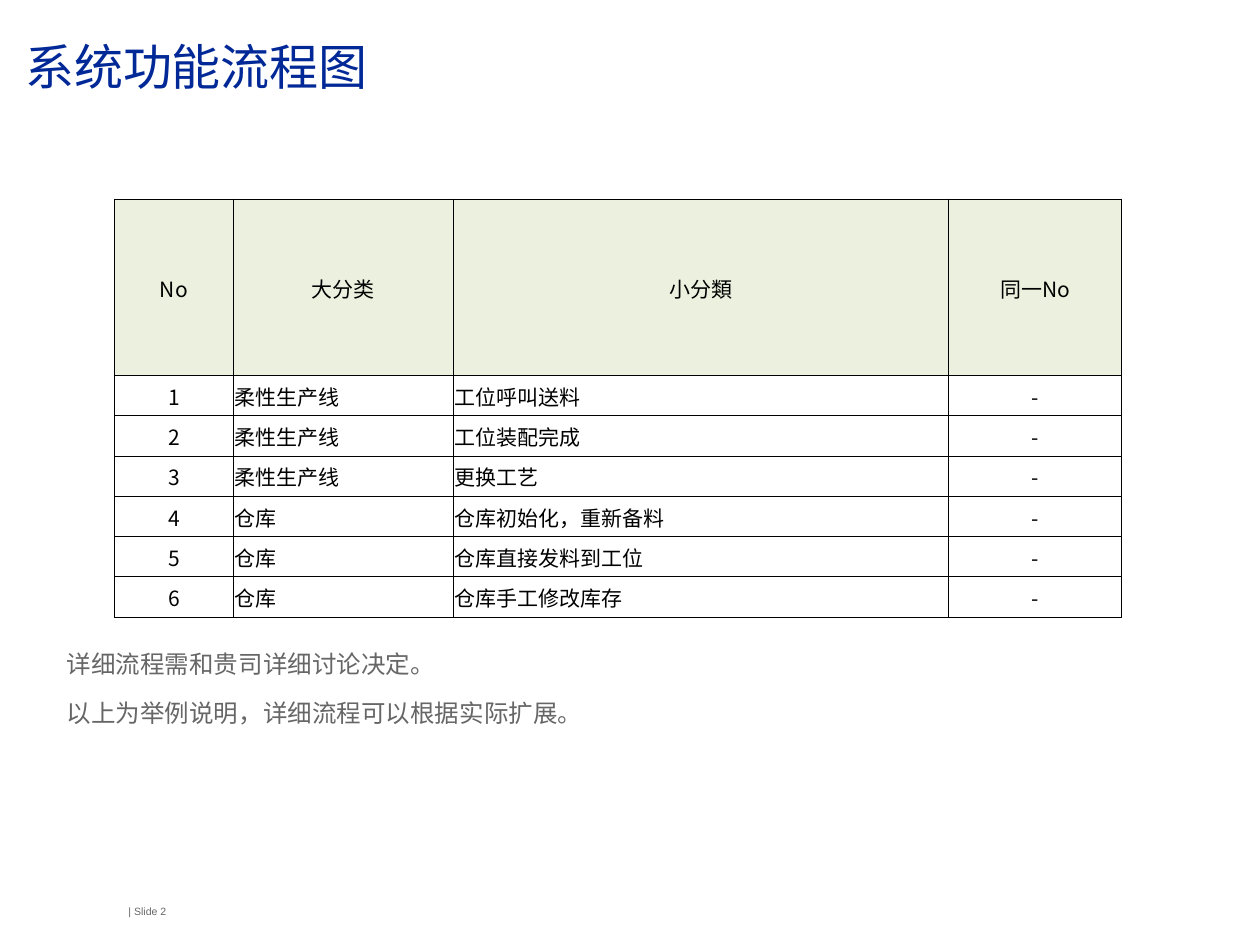
from dataclasses import dataclass
from typing import Optional

from lxml.etree import SubElement as Sub
from pptx import Presentation
from pptx.dml.color import RGBColor as RGB
from pptx.enum.text import MSO_ANCHOR as Anchor, MSO_AUTO_SIZE as Fit, PP_ALIGN as Align
from pptx.oxml.ns import qn
from pptx.util import Inches, Pt


@dataclass(frozen=True)
class Theme:
    blue: str = "002897"
    gray: str = "666666"
    black: str = "000000"
    head: str = "EBF1DE"
    sans: str = "Arial"
    cjk: str = "Noto Sans CJK SC"
    title: int = 28
    body: int = 14
    cell: int = 12
    foot: int = 6
    line: float = 0.5


@dataclass(frozen=True)
class Box:
    left: float
    top: float
    width: float
    height: float


@dataclass(frozen=True)
class Col:
    name: str
    width: float
    align: Align


@dataclass(frozen=True)
class Step:
    group: str
    task: str
    same: str = "-"


THEME = Theme()
COLS = [
    Col("No", 0.94, Align.CENTER),
    Col("大分类", 1.75, Align.LEFT),
    Col("小分類", 3.93, Align.LEFT),
    Col("同一No", 1.37, Align.CENTER),
]
LINE, STORE = "柔性生产线", "仓库"
STEPS = [
    Step(LINE, "工位呼叫送料"),
    Step(LINE, "工位装配完成"),
    Step(LINE, "更换工艺"),
    Step(STORE, "仓库初始化，重新备料"),
    Step(STORE, "仓库直接发料到工位"),
    Step(STORE, "仓库手工修改库存"),
]
NOTES = ["详细流程需和贵司详细讨论决定。", "以上为举例说明，详细流程可以根据实际扩展。"]
HEAD_H, ROW_H = 1.4, 0.32


def add_run(para, text: str, size: int, color: str, face: str) -> None:
    run = para.add_run()
    run.text = text
    font = run.font
    font.size = Pt(size)
    font.bold = False
    font.color.rgb = RGB.from_string(color)
    font.name = face
    if face == THEME.cjk:
        Sub(font._element, qn("a:ea"), typeface=face)


def place(shape, box: Box, pads: tuple, anchor: Anchor = Anchor.TOP):
    """Move a text shape, set its insets (left, top, right, bottom), return its frame."""
    shape.left, shape.top = Inches(box.left), Inches(box.top)
    shape.width, shape.height = Inches(box.width), Inches(box.height)
    frame = shape.text_frame
    frame.word_wrap = True
    frame.auto_size = Fit.NONE
    frame.vertical_anchor = anchor
    frame.margin_left, frame.margin_top, frame.margin_right, frame.margin_bottom = map(Inches, pads)
    return frame


def add_title(slide) -> None:
    frame = place(slide.shapes.title, Box(0, 0, 10, 0.76), (0.2, 0.34, 0.24, 0))
    para = frame.paragraphs[0]
    para.alignment = Align.LEFT
    para.line_spacing = 0.9
    add_run(para, "系统功能流程图", THEME.title, THEME.blue, THEME.cjk)


def add_notes(slide) -> None:
    frame = place(slide.placeholders[1], Box(0.37, 5.07, 9.26, 1.71), (0.16, 0.08, 0.08, 0.08))
    for i, note in enumerate(NOTES):
        para = frame.add_paragraph() if i else frame.paragraphs[0]
        props = para._p.get_or_add_pPr()
        props.set("marL", "0")
        props.set("indent", "0")
        Sub(props, qn("a:buNone"))
        para.space_before = Pt(11 if i else 0)
        add_run(para, note, THEME.body, THEME.gray, THEME.sans)


def add_foot(slide) -> None:
    box = slide.shapes.add_textbox(0, 0, 0, 0)
    frame = place(box, Box(1.02, 7.18, 0.53, 0.1), (0, 0, 0, 0), Anchor.MIDDLE)
    add_run(frame.paragraphs[0], "| Slide 2", THEME.foot, THEME.gray, THEME.sans)


def fill_cell(cell, text: str, align: Align, fill: Optional[str] = None) -> None:
    cell.margin_left = cell.margin_top = cell.margin_right = Inches(0.01)
    cell.margin_bottom = 0
    cell.vertical_anchor = Anchor.MIDDLE
    para = cell.text_frame.paragraphs[0]
    para.alignment = align
    add_run(para, text, THEME.cell, THEME.black, THEME.cjk)
    props = cell._tc.get_or_add_tcPr()
    for side in ("lnL", "lnR", "lnT", "lnB"):
        edge = Sub(props, qn(f"a:{side}"), w=str(Pt(THEME.line)))
        Sub(Sub(edge, qn("a:solidFill")), qn("a:srgbClr"), val=THEME.black)
    if fill:
        cell.fill.solid()
        cell.fill.fore_color.rgb = RGB.from_string(fill)
    else:
        cell.fill.background()


def add_grid(slide) -> None:
    width = sum(col.width for col in COLS)
    height = HEAD_H + ROW_H * len(STEPS)
    table = slide.shapes.add_table(
        len(STEPS) + 1, len(COLS), Inches(0.91), Inches(1.58), Inches(width), Inches(height)
    ).table
    table.first_row = table.horz_banding = False
    for i, row in enumerate(table.rows):
        row.height = Inches(ROW_H if i else HEAD_H)
    for j, col in enumerate(COLS):
        table.columns[j].width = Inches(col.width)
        fill_cell(table.cell(0, j), col.name, Align.CENTER, THEME.head)
    for i, step in enumerate(STEPS, 1):
        texts = (str(i), step.group, step.task, step.same)
        for j, (col, text) in enumerate(zip(COLS, texts)):
            fill_cell(table.cell(i, j), text, col.align)


def main() -> None:
    deck = Presentation()
    deck.slide_width, deck.slide_height = Inches(10), Inches(7.5)
    slide = deck.slides.add_slide(deck.slide_layouts[1])
    add_foot(slide)
    add_title(slide)
    add_notes(slide)
    add_grid(slide)
    deck.save("out.pptx")


if __name__ == "__main__":
    main()
